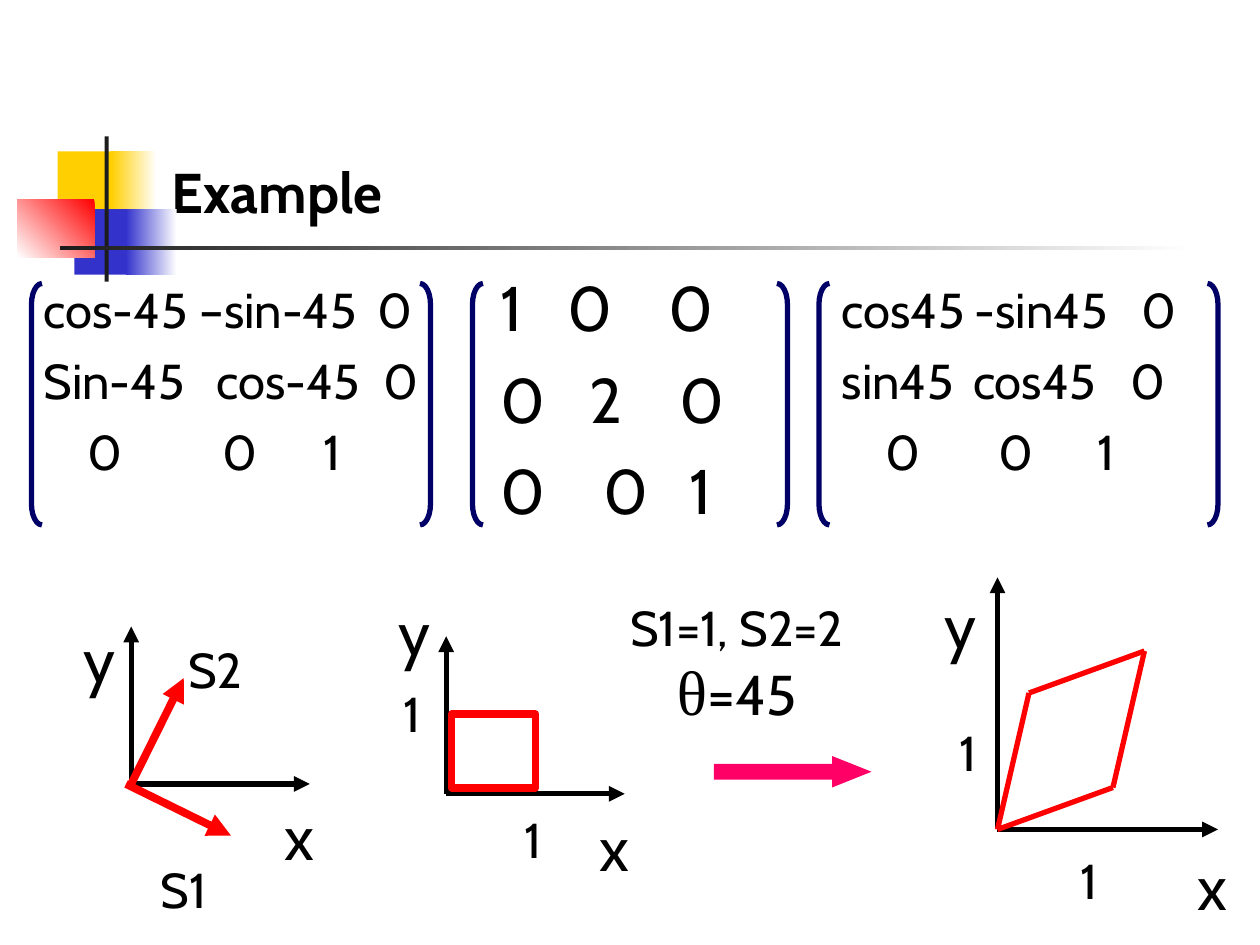
import pptx
import pptx.util
import pptx.dml.color
import pptx.enum.shapes
import pptx.enum.text
import pptx.oxml
import pptx.oxml.ns

Pt = pptx.util.Pt
RGB = pptx.dml.color.RGBColor
KIND = pptx.enum.shapes.MSO_SHAPE
ALIGN = pptx.enum.text.PP_ALIGN
ANCHOR = pptx.enum.text.MSO_ANCHOR
LINE = pptx.enum.shapes.MSO_CONNECTOR.STRAIGHT

BLACK, WHITE = RGB(0, 0, 0), RGB(255, 255, 255)
GOLD, BLUE = RGB(0xFF, 0xCF, 0x01), RGB(0x33, 0x33, 0xCC)
RED, PINK = RGB(0xFF, 0, 0), RGB(0xFF, 0, 0x66)
NAVY, DARK = RGB(0, 0, 0x66), RGB(0x1C, 0x1C, 0x1C)
FONT = "Cabin"
FLUSH = dict(margin_left=0, margin_right=0, margin_top=0, margin_bottom=0,
             word_wrap=False, vertical_anchor=ANCHOR.MIDDLE)


def style(item, form):
    for key, value in form.items():
        setattr(item, key, value)


def write(para, text, size, name=FONT, bold=False):
    run = para.add_run()
    run.text = text
    style(run.font, dict(size=Pt(size), name=name, bold=bold))
    run.font.color.rgb = BLACK


def block(shapes, kind, x, y, w, h, fill=None, line=None, width=0):
    shape = shapes.add_shape(kind, Pt(x), Pt(y), Pt(w), Pt(h))
    shape.shadow.inherit = False
    if fill is None:
        shape.fill.background()
    else:
        shape.fill.solid()
        shape.fill.fore_color.rgb = fill
    if line is None:
        shape.line.fill.background()
    else:
        shape.line.color.rgb = line
        shape.line.width = Pt(width)
    return shape


def fade(shape, first, last, angle):
    shape.fill.gradient()
    shape.fill.gradient_angle = angle
    for stop, color in zip(shape.fill.gradient_stops, (first, last)):
        stop.color.rgb = color


def stroke(shapes, start, end, color, width, arrow=True):
    line = shapes.add_connector(LINE, *map(Pt, start + end))
    line.line.color.rgb = color
    line.line.width = Pt(width)
    if arrow:
        tip = pptx.oxml.ns.qn("a:tailEnd")
        line.line._get_or_add_ln().append(
            line._element.makeelement(tip, {"type": "triangle"}))
    props = line._element.spPr
    props.append(props.makeelement(pptx.oxml.ns.qn("a:effectLst"), {}))


def label(shapes, text, x, y, size):
    """Text centred on the point x, y."""
    w, h = size * 0.8 * len(text), size * 1.2
    box = shapes.add_textbox(Pt(x - w / 2), Pt(y - h / 2), Pt(w), Pt(h))
    style(box.text_frame, FLUSH)
    para = box.text_frame.paragraphs[0]
    para.alignment = ALIGN.CENTER
    write(para, text, size)


def header(slide, x, y):
    # Coloured squares and the two rules
    def rect(dx, dy, w, h, fill):
        return block(slide.shapes, KIND.RECTANGLE, x + dx, y + dy, w, h, fill)

    for dx, dy, solid, soft, step, color in (
            (23, 8.5, 34.5, 26, 30.5, GOLD), (32.5, 41.5, 33, 29, 29.5, BLUE)):
        rect(dx, dy, solid, 37.5, color)
        fade(rect(dx + step, dy, soft, 37.5, color), WHITE, color, 180)
    fade(rect(0, 36, 44, 33, RED), RED, WHITE, 225)
    rect(49.75, 0, 2.4, 83, DARK)
    fade(rect(24.5, 62.4, 648, 2.4, DARK), WHITE, DARK, 180)

    # Title
    title = slide.shapes.title
    style(title, dict(left=Pt(x + 80.7), top=Pt(y - 61.4),
                      width=Pt(613.4), height=Pt(115.2)))
    style(title.text_frame, dict(vertical_anchor=ANCHOR.BOTTOM, word_wrap=True))
    para = title.text_frame.paragraphs[0]
    para.alignment = ALIGN.LEFT
    write(para, "Example", 32, bold=True)


def matrix(shapes, x, y, w, h, shift, size, rows):
    # Entries, each row with its own tab stops
    dx, dy = shift
    box = shapes.add_textbox(Pt(x + dx), Pt(y + dy), Pt(w + 6), Pt(h + 18))
    frame = box.text_frame
    frame.word_wrap = True
    for i, row in enumerate(rows):
        para = frame.paragraphs[0] if i == 0 else frame.add_paragraph()
        props = para._p.get_or_add_pPr()
        tabs = props.makeelement(pptx.oxml.ns.qn("a:tabLst"), {})
        props.append(tabs)
        for stop, _ in row:
            if stop:
                tabs.append(tabs.makeelement(
                    pptx.oxml.ns.qn("a:tab"),
                    {"pos": str(int(Pt(stop))), "algn": "l"}))
        if i:
            para.space_before = Pt(size / 4)
        lead = "\t" if row[0][0] else ""
        write(para, lead + "\t".join(text for _, text in row), size)

    # Brackets
    for kind, left in ((KIND.LEFT_BRACKET, x), (KIND.RIGHT_BRACKET, x + w - 6)):
        side = block(shapes, kind, left, y, 6, h, line=NAVY, width=3)
        side.adjustments[0] = 2


def plot(slide, x, y, w, h, labels):
    """Axes with labels placed from the origin; returns group and placer."""
    shapes = slide.shapes.add_group_shape().shapes

    def at(dx, dy):
        return x + dx, y + h + dy

    for end in ((0, -h), (w, 0)):
        stroke(shapes, at(0, 0), at(*end), BLACK, 3)
    for text, dx, dy, size in labels:
        label(shapes, text, *at(dx, dy), size)
    return shapes, at


def scaling(slide, x, y, w, h):
    shapes, at = plot(slide, x, y, w, h, (
        ("x", 96, 29.5, 36), ("y", -18, -72, 36),
        ("S2", 48, -66, 28), ("S1", 30, 60, 28)))
    stroke(shapes, at(0, 0), at(30, -60.5), RED, 4.5)
    stroke(shapes, at(-3, 0), at(57, 29.5), RED, 4.5)


def square(slide, x, y, w, h):
    shapes, at = plot(slide, x, y, w, h, (
        ("x", 96, 30, 36), ("y", -18, -93, 36),
        ("1", 49.5, 26, 28), ("1", -19.5, -46.5, 28)))
    block(shapes, KIND.RECTANGLE, *at(3, -45.4), 48, 42, line=RED, width=4.5)


def result(slide, x, y, w, h):
    shapes, at = plot(slide, x, y, w, h, (
        ("x", 123, 32, 36), ("y", -21, -117.5, 36),
        ("1", 52.5, 29, 28), ("1", -16.5, -44.5, 28)))
    ends = [at(*p) for p in ((0, 0), (18, -78), (84, -102), (66, -24))]
    for start, end in zip(ends, ends[1:] + ends[:1]):
        stroke(shapes, start, end, RED, 3, arrow=False)


def change(slide, x, y, w, h):
    # Values used, above the arrow
    box = slide.shapes.add_textbox(Pt(x), Pt(y), Pt(w), Pt(71.3))
    frame = box.text_frame
    style(frame, FLUSH)
    first, second = frame.paragraphs[0], frame.add_paragraph()
    first.alignment = ALIGN.CENTER
    style(second, dict(alignment=ALIGN.CENTER, line_spacing=0.4,
                       space_before=Pt(20)))
    write(first, "S1=1, S2=2", 28)
    write(second, "θ", 36, "Times New Roman")
    write(second, "=45", 32)
    arrow = block(slide.shapes, KIND.RIGHT_ARROW, x + 57.4, y + h - 18, 90, 18, PINK)
    arrow.adjustments[0], arrow.adjustments[1] = 0.5, 1.25


def main():
    deck = pptx.Presentation()
    style(deck, dict(slide_width=Pt(720), slide_height=Pt(540)))
    slide = deck.slides.add_slide(deck.slide_layouts[5])
    header(slide, 10, 78)

    # Rotation, scaling and back rotation
    matrix(slide.shapes, 18, 162, 228, 138, (0, -6), 28, (
        ((0, "cos-45"), (89, "–sin-45"), (190.5, "0")),
        ((0, "Sin-45"), (98.5, "cos-45"), (194, "0")),
        ((25, "0"), (102, "0"), (160, "1"))))
    matrix(slide.shapes, 270, 162, 180, 138, (-6, -12), 36, (
        ((15, "1"), (53, "0"), (111, "0")),
        ((15, "0"), (66, "2"), (117, "0")),
        ((15, "0"), (74, "0"), (123, "1"))))
    matrix(slide.shapes, 468, 162, 228, 138, (6, -6), 28, (
        ((0, "cos45"), (76, "-sin45"), (171, "0")),
        ((0, "sin45"), (75, "cos45"), (165, "0")),
        ((25, "0"), (89.5, "0"), (146, "1"))))

    # Plots
    scaling(slide, 75, 358, 102, 90)
    square(slide, 255, 363.6, 102, 90)
    change(slide, 350.6, 341.3, 141, 108.7)
    result(slide, 570, 330, 126, 144)
    deck.save("out.pptx")


if __name__ == "__main__":
    main()
